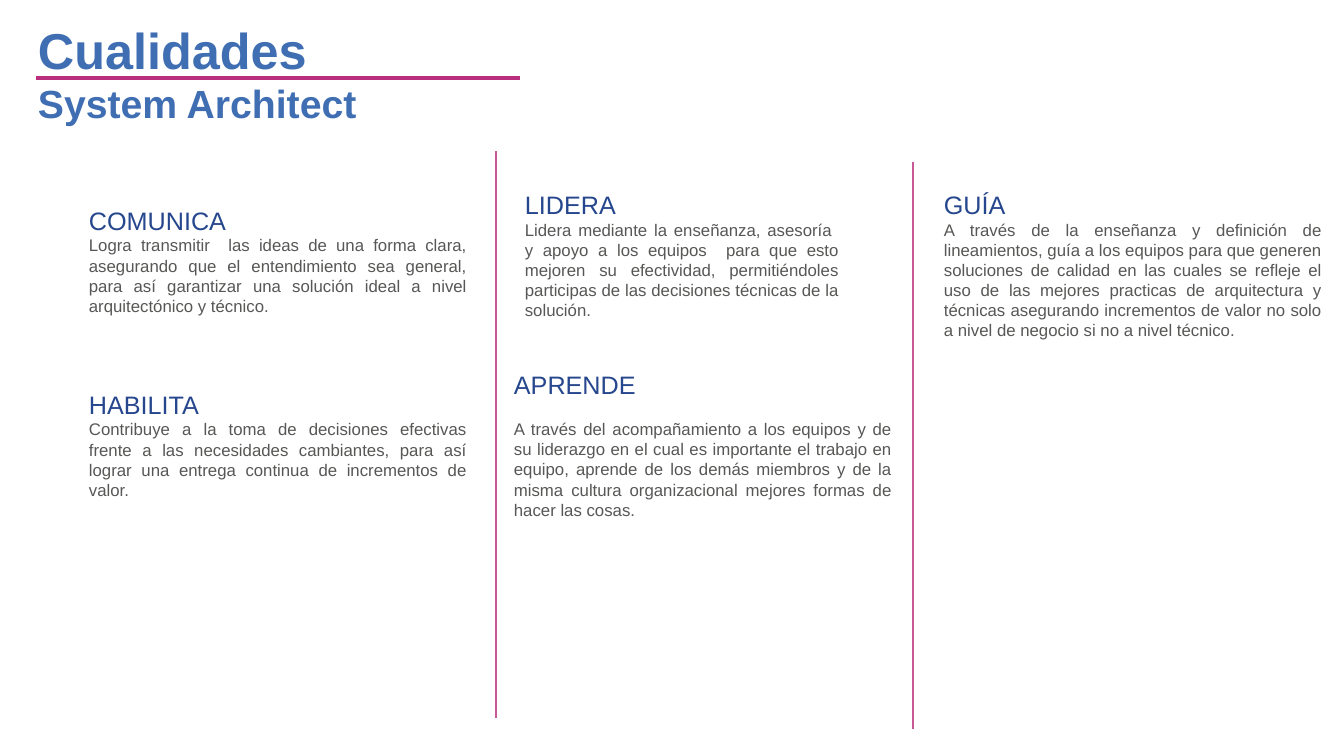
"""Build the slide on the qualities of a system architect."""
from lxml import etree
from pptx import Presentation
from pptx.dml.color import RGBColor
from pptx.enum.shapes import MSO_CONNECTOR
from pptx.enum.text import MSO_AUTO_SIZE, PP_ALIGN
from pptx.oxml.ns import qn
from pptx.util import Emu, Pt

PX = 12192000 / 1344
STRAIGHT = MSO_CONNECTOR.STRAIGHT
GROW = MSO_AUTO_SIZE.SHAPE_TO_FIT_TEXT
LEFT, JUSTIFY = PP_ALIGN.LEFT, PP_ALIGN.JUSTIFY


def px(*lengths):
    return [Emu(round(n * PX)) for n in lengths]


def color(value):
    return RGBColor.from_string(value)


prs = Presentation()
prs.slide_width, prs.slide_height = px(1344, 756)
s = prs.slides.add_slide(prs.slide_layouts[6])

title = [("Cualidades", 36, "406EB3", True, LEFT, 0),
         ("System Architect", 28, "406EB3", True, LEFT, 0)]
boxes = [((28, 14, 343, 119), False, title)]

qualities = [
    (79, 200, 398, 122, 0, "COMUNICA",
     "Logra transmitir  las ideas de una forma clara, asegurando que el entendimiento sea "
     "general, para así garantizar una solución ideal a nivel arquitectónico y técnico."),
    (79, 384, 398, 122, 0, "HABILITA",
     "Contribuye a la toma de decisiones efectivas frente a las necesidades cambiantes, "
     "para así lograr una entrega continua de incrementos de valor."),
    (515, 184, 334, 183, 0, "LIDERA",
     "Lidera mediante la enseñanza, asesoría  y apoyo a los equipos  para que esto mejoren "
     "su efectividad, permitiéndoles participas de las decisiones técnicas de la solución."),
    (504, 364, 398, 204, 14, "APRENDE",
     "A través del acompañamiento a los equipos y de su liderazgo en el cual es importante "
     "el trabajo en equipo, aprende de los demás miembros y de la misma cultura "
     "organizacional mejores formas de hacer las cosas."),
    (934, 184, 398, 163, 0, "GUÍA",
     "A través de la enseñanza y definición de lineamientos, guía a los equipos para que "
     "generen soluciones de calidad en las cuales se refleje el uso de las mejores "
     "practicas de arquitectura y técnicas asegurando incrementos de valor no solo a nivel "
     "de negocio si no a nivel técnico."),
]
for x, y, w, h, gap, heading, body in qualities:
    boxes.append(((x, y, w, h), True, [(heading, 18, "26478D", False, LEFT, 0),
                                       (body, 12, "575756", False, JUSTIFY, gap)]))

for place, wrap, paragraphs in boxes:
    tf = s.shapes.add_textbox(*px(*place)).text_frame
    tf.word_wrap = wrap
    tf.auto_size = GROW
    for i, (text, size, ink, bold, align, gap) in enumerate(paragraphs):
        p = tf.add_paragraph() if i else tf.paragraphs[0]
        p.text = text
        p.alignment = align
        if gap:
            p.space_before = Pt(gap)
        p.font.name = "Arial"
        p.font.size = Pt(size)
        p.font.bold = bold
        p.font.color.rgb = color(ink)

rules = [
    (36, 78, 520, 78, "BA2F7D", 3),
    (496, 718, 496, 151, "C85997", 1.5),
    (913, 729, 913, 162, "C85997", 1.5),
]
for x1, y1, x2, y2, ink, width in rules:
    rule = s.shapes.add_connector(STRAIGHT, *px(x1, y1, x2, y2))
    rule.line.color.rgb = color(ink)
    rule.line.width = Pt(width)
    etree.SubElement(rule._element.spPr, qn("a:effectLst"))

prs.save("out.pptx")
